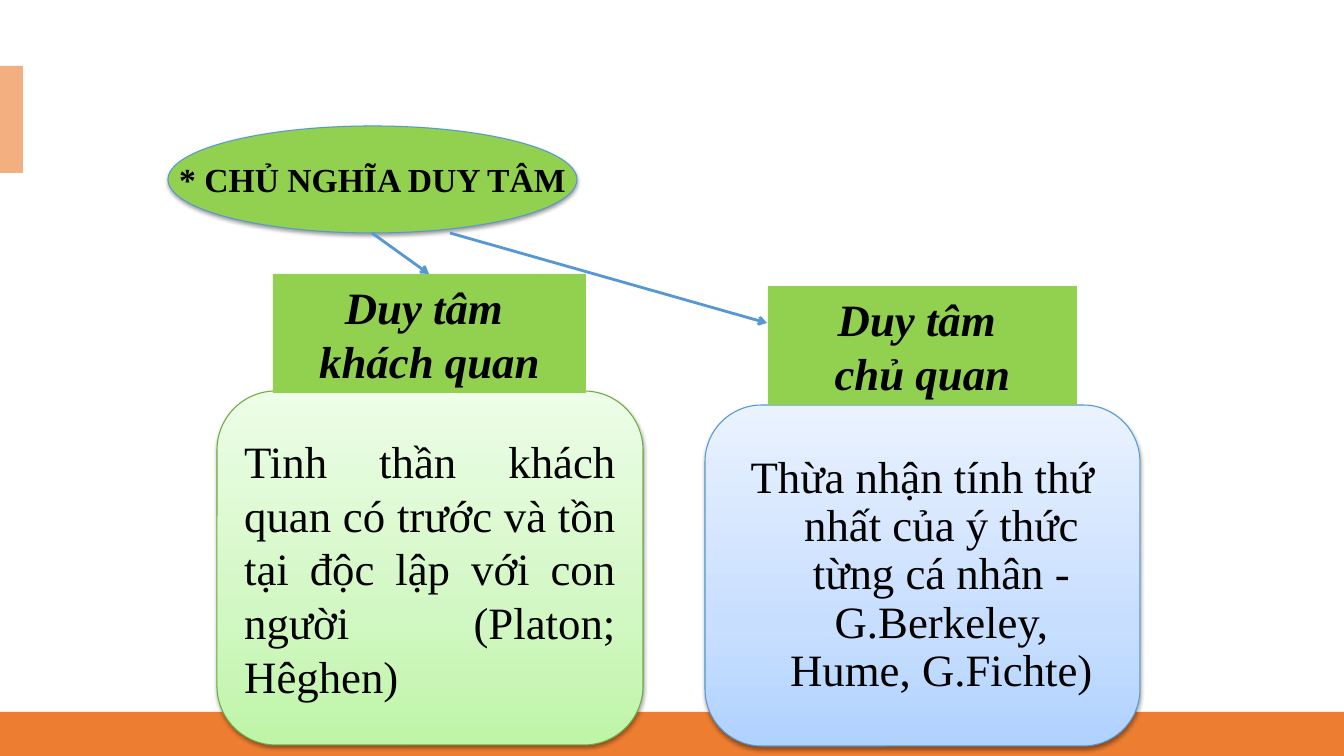
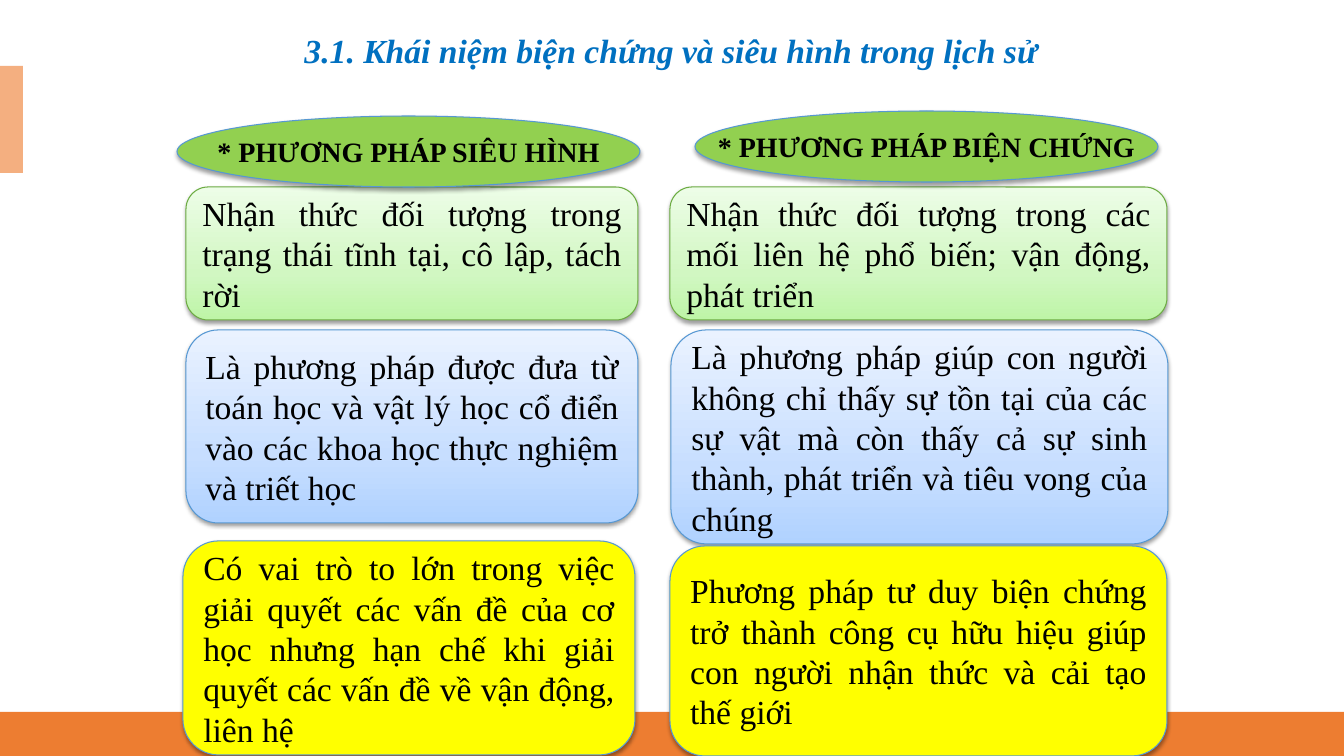
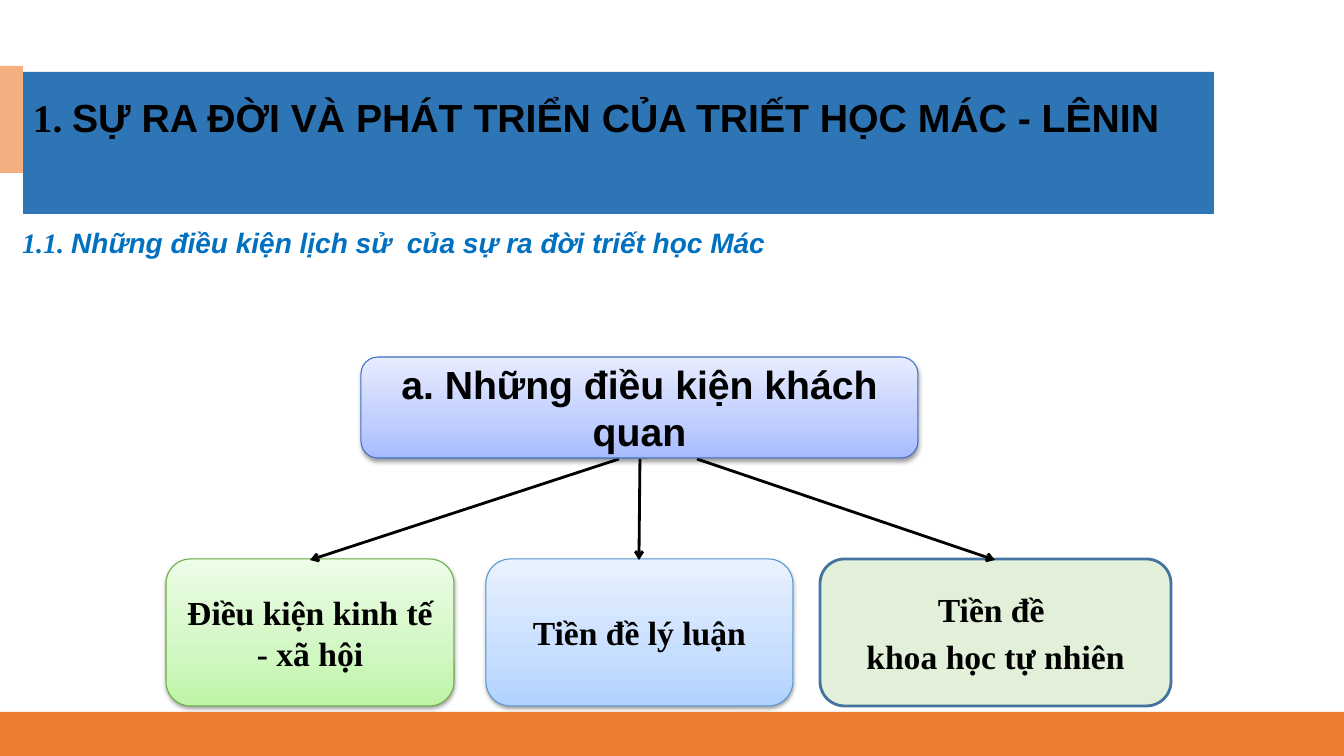
import dataclasses
import copy
import typing

import pptx
import pptx.util
import pptx.dml.color
import pptx.enum.shapes
import pptx.enum.text
import pptx.oxml
import pptx.oxml.ns

Kind = pptx.enum.shapes.MSO_SHAPE
Align = pptx.enum.text.PP_ALIGN
Anchor = pptx.enum.text.MSO_ANCHOR
SCALE = 914400 / 100.8  # EMU in one px


@dataclasses.dataclass(frozen=True)
class Look:
    """Fill (one colour, or three from bottom to top), outline and shadow."""
    fill: typing.Any
    line: typing.Optional[str] = None
    width: float = 0.75
    shadow: bool = False


@dataclasses.dataclass(frozen=True)
class Type:
    """Font and paragraph settings of a text."""
    size: int
    bold: bool = False
    slant: bool = False
    color: str = "000000"
    font: str = "Times New Roman"
    align: typing.Any = Align.CENTER
    before: int = 0
    lead: float = 1.0
    hang: int = 0
    wrap: bool = True


class Theme:
    # Colours
    serif, sans = "Times New Roman", "Arial"
    blue, black, steel = "0070C0", "000000", "5698D3"
    foot = Look("ED7D31")
    tab = Look("F4AF80")
    band = Look("2E75B6")
    tag = Look("92D050")
    oval = Look("92D050", steel, shadow=True)
    green = Look(("BEF5A7", "D1F7C2", "EDFDE7"), "6DAC43", shadow=True)
    sky = Look(("B0D2FF", "C7DEFF", "EAF2FF"), steel, shadow=True)
    indigo = Look(("A6BBFF", "C0CEFF", "E7ECFF"), "3F6FC3", shadow=True)
    yellow = Look("FFFF00", steel, shadow=True)
    pale = Look("E2F0D9", "43739E", 2)
    # Type sizes
    title = Type(28, bold=True, align=Align.LEFT, lead=0.9)
    topic = Type(24, bold=True, slant=True, color=blue)
    minor = Type(20, bold=True, slant=True, color=blue, lead=0.9)
    lead = Type(24, bold=True, wrap=False)
    head = Type(20, bold=True, wrap=False)
    label = Type(32, bold=True, slant=True)
    large = Type(32, align=Align.JUSTIFY, before=6)
    inset = Type(32, before=6, lead=0.9, hang=38)
    body = Type(24, align=Align.JUSTIFY)
    root = Type(28, bold=True, font=sans)
    leaf = Type(24, bold=True)
    pair = Type(24, bold=True, before=5)


class Box(typing.NamedTuple):
    x: int
    y: int
    w: int
    h: int

    def sub(self, x, y, w, h):
        """A box placed from this box's top left corner."""
        return Box(self.x + x, self.y + y, w, h)


def px(value):
    return pptx.util.Emu(round(value * SCALE))


def rgb(code):
    return pptx.dml.color.RGBColor.from_string(code)


def effect(shape, inner=""):
    """Give a shape its own effect list, empty unless a shadow is passed."""
    space = pptx.oxml.ns.nsdecls("a")
    shape._element.spPr.append(pptx.oxml.parse_xml(
        f"<a:effectLst {space}>{inner}</a:effectLst>"))


def blend(shape, colors):
    """Vertical gradient of three stops."""
    fill = shape.fill
    fill.gradient()
    fill.gradient_angle = 90
    stops = shape._element.spPr.find(".//" + pptx.oxml.ns.qn("a:gsLst"))
    stops.insert(1, copy.deepcopy(stops[0]))
    for stop, color, place in zip(fill.gradient_stops, colors, (0, 0.35, 1)):
        stop.color.rgb = rgb(color)
        stop.position = place


def write(shape, style, paras):
    """Fill a shape with paragraphs; each is a string or (text, font) runs."""
    frame = shape.text_frame
    frame.word_wrap = style.wrap
    for n, para in enumerate(paras):
        line = frame.paragraphs[0] if n == 0 else frame.add_paragraph()
        line.alignment = style.align
        line.line_spacing = style.lead
        line.space_before = pptx.util.Pt(style.before)
        if style.hang:
            props = line._p.get_or_add_pPr()
            props.set("marL", str(px(style.hang)))
            props.set("indent", str(-px(style.hang)))
        runs = [(para, style.font)] if isinstance(para, str) else para
        for text, font in runs:
            run = line.add_run()
            run.text = text
            run.font.name = font
            run.font.size = pptx.util.Pt(style.size)
            run.font.bold = style.bold
            run.font.italic = style.slant
            run.font.color.rgb = rgb(style.color)


def draw(slide, kind, box, look, style=None, *paras):
    shape = slide.shapes.add_shape(kind, *map(px, box))
    if isinstance(look.fill, str):
        shape.fill.solid()
        shape.fill.fore_color.rgb = rgb(look.fill)
    else:
        blend(shape, look.fill)
    if look.line:
        shape.line.color.rgb = rgb(look.line)
        shape.line.width = pptx.util.Pt(look.width)
    else:
        shape.line.fill.background()
    if look.shadow:
        effect(shape, '<a:outerShdw blurRad="39370" dist="20320" dir="5400000"'
                      ' rotWithShape="0"><a:srgbClr val="000000">'
                      '<a:alpha val="38000"/></a:srgbClr></a:outerShdw>')
    else:
        shape.shadow.inherit = False
    shape.text_frame.vertical_anchor = Anchor.MIDDLE
    if style:
        write(shape, style, paras)
    return shape


def note(slide, box, style, *paras):
    write(slide.shapes.add_textbox(*map(px, box)), style, paras)


def arrow(slide, box, start, end, color):
    """Arrow between two points given from the box's corner."""
    ends = [px(v) for x, y in (start, end) for v in (box.x + x, box.y + y)]
    link = slide.shapes.add_connector(
        pptx.enum.shapes.MSO_CONNECTOR.STRAIGHT, *ends)
    link.line.color.rgb = rgb(color)
    link.line.width = pptx.util.Pt(2)
    space = pptx.oxml.ns.nsdecls("a")
    link.line._get_or_add_ln().append(
        pptx.oxml.parse_xml(f'<a:tailEnd {space} type="arrow"/>'))
    effect(link)


def start(deck):
    """New blank slide with the shared side tab and foot band."""
    slide = deck.slides.add_slide(deck.slide_layouts[6])
    draw(slide, Kind.RECTANGLE, Box(0, 712, 1344, 44), Theme.foot)
    draw(slide, Kind.RECTANGLE, Box(0, 66, 23, 107), Theme.tab)
    return slide


def branch(slide, box, card, tag, look, style, name, text):
    """Round card with a name tag on top."""
    draw(slide, Kind.ROUNDED_RECTANGLE, box.sub(*card), look, style, text)
    draw(slide, Kind.RECTANGLE, box.sub(*tag), Theme.tag, Theme.label,
         "Duy tâm ", name)


def fork(slide, box):
    """One oval that leads to two branches."""
    branch(slide, box, (49, 265, 426, 354), (105, 148, 313, 119),
           Theme.green, Theme.large, "khách quan",
           "Tinh thần khách quan có trước và tồn tại độc lập với con người "
           "(Platon; Hêghen)")
    branch(slide, box, (537, 279, 435, 341), (600, 160, 309, 119),
           Theme.sky, Theme.inset, "chủ quan",
           "Thừa nhận tính thứ nhất của ý thức từng cá nhân - G.Berkeley, "
           "Hume, G.Fichte)")
    draw(slide, Kind.OVAL, box.sub(0, 0, 409, 107), Theme.oval, Theme.lead,
         "* CHỦ NGHĨA DUY TÂM")
    arrow(slide, box, (204, 107), (261, 148), Theme.steel)
    arrow(slide, box, (282, 107), (599, 197), Theme.steel)


def column(slide, box, spot, head, cards):
    """Oval heading above three cards, each given as x, y, height, text."""
    looks = (Theme.green, Theme.sky, Theme.yellow)
    for look, (x, y, h, text) in zip(looks, cards):
        draw(slide, Kind.ROUNDED_RECTANGLE, box.sub(x, y, box.w, h),
             look, Theme.body, text)
    draw(slide, Kind.OVAL, box.sub(*spot, 463, 71), Theme.oval, Theme.head,
         head)


def tree(slide, box):
    """Root card with arrows to three leaves."""
    leaves = (
        (0, 288, Theme.green, Theme.pair, ["Điều kiện kinh tế - xã hội"]),
        (320, 307, Theme.sky, Theme.leaf, ["Tiền đề lý luận"]),
        (654, 351, Theme.pale, Theme.pair, ["Tiền đề ", "khoa học tự nhiên"]),
    )
    for (x, w, look, style, paras), tip in zip(leaves, (453, 474, 531)):
        draw(slide, Kind.ROUNDED_RECTANGLE, box.sub(x, 202, w, 147),
             look, style, *paras)
        arrow(slide, box, (tip, 102), (x + w // 2, 203), Theme.black)
    draw(slide, Kind.ROUNDED_RECTANGLE, box.sub(195, 0, 557, 101),
         Theme.indigo, Theme.root, "a. Những điều kiện khách quan")


def banner(slide, box):
    """Title band with the section line below it."""
    band = draw(slide, Kind.RECTANGLE, box, Theme.band, Theme.title,
                [("1. ", Theme.serif),
                 ("SỰ RA ĐỜI VÀ PHÁT TRIỂN CỦA TRIẾT HỌC MÁC - LÊNIN",
                  Theme.sans)])
    band.text_frame.vertical_anchor = Anchor.TOP
    band.text_frame.margin_top = px(27)
    note(slide, box.sub(-33, 152, 808, 40), Theme.minor,
         [("1.1. ", Theme.serif),
          ("Những điều kiện lịch sử  của sự ra đời triết học Mác",
           Theme.sans)])


def main():
    deck = pptx.Presentation()
    deck.slide_width, deck.slide_height = px(1344), px(756)

    # Two kinds of idealism
    fork(start(deck), Box(168, 126, 972, 620))

    # Two methods side by side
    slide = start(deck)
    column(slide, Box(186, 111, 452, 645), (-9, 5),
           "* PHƯƠNG PHÁP SIÊU HÌNH", (
               (0, 76, 133, "Nhận thức đối tượng trong trạng thái tĩnh tại, "
                            "cô lập, tách rời"),
               (0, 219, 193, "Là phương pháp được đưa từ toán học và vật lý "
                             "học cổ điển vào các khoa học thực nghiệm và "
                             "triết học"),
               (-3, 430, 214, "Có vai trò to lớn trong việc giải quyết các "
                              "vấn đề của cơ học nhưng hạn chế khi giải "
                              "quyết các vấn đề về vận động, liên hệ")))
    column(slide, Box(670, 111, 497, 645), (25, 0),
           "* PHƯƠNG PHÁP BIỆN CHỨNG", (
               (0, 76, 133, "Nhận thức đối tượng trong các mối liên hệ phổ "
                            "biến; vận động, phát triển"),
               (1, 219, 214, "Là phương pháp giúp con người không chỉ thấy "
                             "sự tồn tại của các sự vật mà còn thấy cả sự "
                             "sinh thành, phát triển và tiêu vong của chúng"),
               (0, 435, 210, "Phương pháp tư duy biện chứng trở thành công "
                             "cụ hữu hiệu giúp con người nhận thức và cải "
                             "tạo thế giới")))
    note(slide, Box(234, 25, 874, 50), Theme.topic,
         "3.1. Khái niệm biện chứng và siêu hình trong lịch sử")

    # Conditions for the rise of the doctrine
    slide = start(deck)
    banner(slide, Box(23, 72, 1191, 142))
    tree(slide, Box(166, 357, 1005, 349))

    deck.save("out.pptx")


if __name__ == "__main__":
    main()
